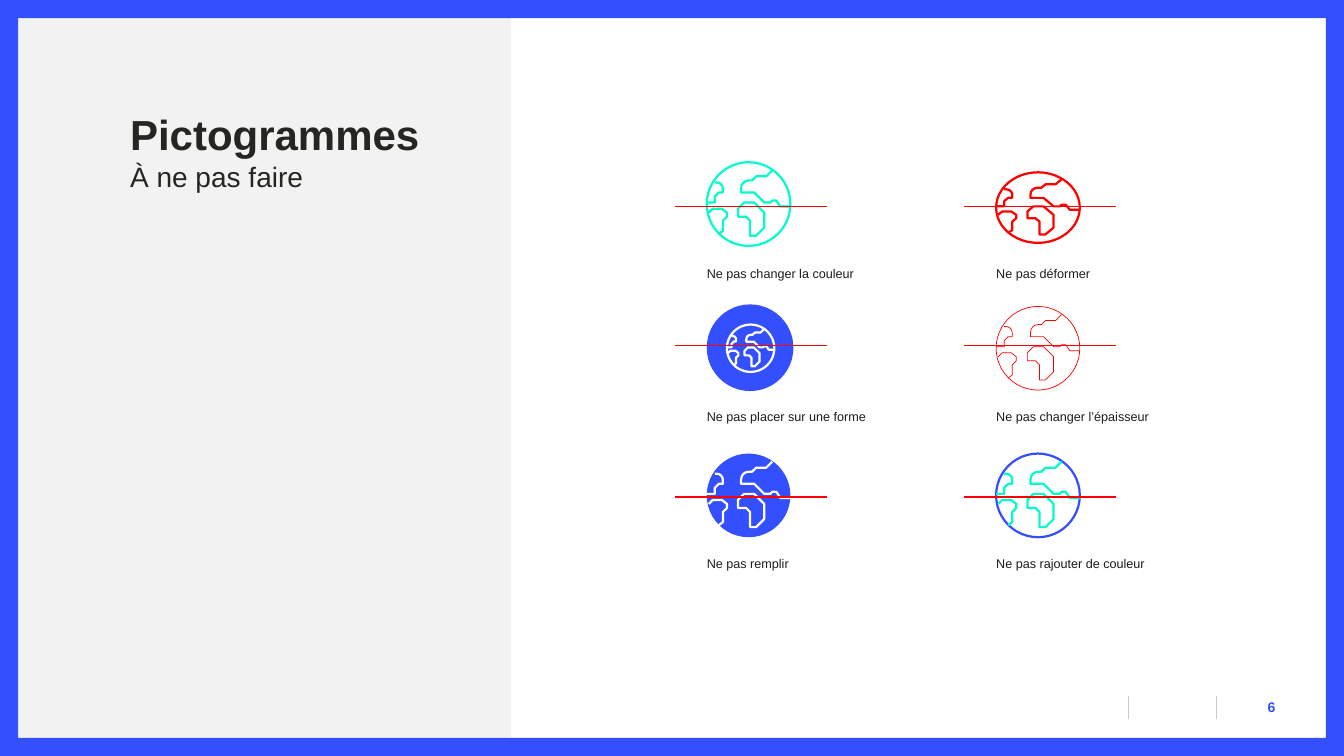
from lxml.etree import SubElement
from pptx import Presentation
from pptx.dml.color import RGBColor
from pptx.enum.shapes import MSO_CONNECTOR, MSO_SHAPE
from pptx.enum.text import MSO_ANCHOR, MSO_AUTO_SIZE, PP_ALIGN
from pptx.oxml.ns import qn
from pptx.util import Inches, Pt

FONT = "Arial"
BLUE, MINT, RED, WHITE = "334FFE", "06FACC", "FF0000", "FFFFFF"
PANEL, RULE, TITLE_INK, INK = "F1F2F1", "CCCCCC", "252521", "1F1C1E"
WIDTH, HEIGHT = 13.33, 7.5
BORDER = 0.18
GLOBE = 0.83
THICK, THIN = 1.59, 0.5

TITLE_LINES = [("Pictogrammes", 30, True), ("À ne pas faire", 20, False)]

# Left edges of the two columns; globe, strike and caption heights of the three rows
COLUMNS = [7.01, 9.88]
ROWS = [(1.61, 2.05, 2.59), (3.04, 3.43, 4.01), (4.5, 4.93, 5.47)]

# One entry per grid cell, row by row. "box" is the globe's offset in the cell and its size.
FULL = (0, 0, GLOBE, GLOBE)
EXAMPLES = [
    {"caption": "Ne pas changer la couleur", "ring": MINT, "coast": MINT},
    {"caption": "Ne pas déformer", "ring": RED, "coast": RED, "box": (0, 0.1, GLOBE, 0.7)},
    {"caption": "Ne pas placer sur une forme", "ring": WHITE, "coast": WHITE,
     "box": (0.2, 0.18, 0.47, 0.47), "disc": BLUE},
    {"caption": "Ne pas changer l’épaisseur", "ring": RED, "coast": RED, "weight": THIN},
    {"caption": "Ne pas remplir", "fill": BLUE, "coast": WHITE},
    {"caption": "Ne pas rajouter de couleur", "ring": BLUE, "coast": MINT},
]

# Coastlines in hundredths of an inch on a full-size globe
COASTS = [
    [(8, 20), (10, 20), (12.4, 20.5), (14.2, 21.8), (15.5, 23.6), (16, 26),
     (16, 30), (12, 30), (8, 34), (8, 40), (0, 40)],
    [(12, 71), (16, 68), (16, 58), (20, 54), (20, 50), (15, 46), (6, 46), (2, 50)],
    [(83, 44), (73, 44), (69, 38), (65, 38), (63, 40), (57, 40), (47, 30), (34, 30),
     (34, 26), (34.6, 22.9), (36.2, 20.3), (38.8, 18.6), (42, 18), (45, 18),
     (49, 14), (59, 14), (65, 8)],
    [(49, 73), (43, 73), (43, 58), (39, 54), (31, 54), (31, 46), (37, 40), (47, 40),
     (57, 50), (57, 65), (49, 73)],
]


def color(hex_text):
    return RGBColor.from_string(hex_text)


def paint(shape, fill=None, line=None, weight=THICK):
    shape.shadow.inherit = False
    if fill:
        shape.fill.solid()
        shape.fill.fore_color.rgb = color(fill)
    else:
        shape.fill.background()
    if line:
        shape.line.color.rgb = color(line)
        shape.line.width = Pt(weight)
    else:
        shape.line.fill.background()


def add_preset(shapes, kind, box, **style):
    shape = shapes.add_shape(kind, *map(Inches, box))
    paint(shape, **style)
    return shape


def add_line(shapes, start, end, line, weight):
    connector = shapes.add_connector(MSO_CONNECTOR.STRAIGHT, *map(Inches, start + end))
    connector.line.color.rgb = color(line)
    connector.line.width = Pt(weight)
    SubElement(connector._element.spPr, qn("a:effectLst"))


def add_run(paragraph, text, size, ink, bold=False):
    run = paragraph.add_run()
    run.text = text
    run.font.name, run.font.size, run.font.bold = FONT, Pt(size), bold
    run.font.color.rgb = color(ink)


def set_frame(frame, margins, anchor=MSO_ANCHOR.TOP):
    frame.word_wrap = True
    frame.auto_size = MSO_AUTO_SIZE.NONE
    frame.vertical_anchor = anchor
    (frame.margin_left, frame.margin_top,
     frame.margin_right, frame.margin_bottom) = map(Inches, margins)


def add_text(shapes, box, text, size, ink, margins, anchor=MSO_ANCHOR.TOP,
             align=PP_ALIGN.LEFT, bold=False):
    frame = shapes.add_textbox(*map(Inches, box)).text_frame
    set_frame(frame, margins, anchor)
    frame.paragraphs[0].alignment = align
    add_run(frame.paragraphs[0], text, size, ink, bold)


def add_globe(shapes, box, coast, ring=None, fill=None, weight=THICK):
    left, top, width, height = box
    add_preset(shapes, MSO_SHAPE.OVAL, box, fill=fill, line=ring, weight=weight)
    for coastline in COASTS:
        points = [(Inches(left + x / 100 * width / GLOBE),
                   Inches(top + y / 100 * height / GLOBE)) for x, y in coastline]
        builder = shapes.build_freeform(*points[0])
        builder.add_line_segments(points[1:], close=points[0] == points[-1])
        paint(builder.convert_to_shape(), line=coast, weight=weight)


def add_example(shapes, index, example):
    row, column = divmod(index, len(COLUMNS))
    left = COLUMNS[column]
    globe_top, strike_top, caption_top = ROWS[row]
    if "disc" in example:
        add_preset(shapes, MSO_SHAPE.OVAL, (left, globe_top - 0.02, 0.86, 0.86),
                   fill=example["disc"])
    dx, dy, width, height = example.get("box", FULL)
    add_globe(shapes, (left + dx, globe_top + dy, width, height), example["coast"],
              example.get("ring"), example.get("fill"), example.get("weight", THICK))
    add_text(shapes, (left, caption_top, 2.22, 0.25), example["caption"], 9, INK,
             (0, 0.05, 0.1, 0.05))
    strike_left = left - 0.32
    add_line(shapes, (strike_left, strike_top), (strike_left + 1.51, strike_top), RED, 1)


def add_title(slide):
    title = slide.shapes.title
    title.left, title.top, title.width, title.height = map(Inches, (1.29, 1.08, 10.68, 1.13))
    frame = title.text_frame
    set_frame(frame, (0, 0, 0, 0))
    for index, (text, size, bold) in enumerate(TITLE_LINES):
        paragraph = frame.add_paragraph() if index else frame.paragraphs[0]
        paragraph.alignment = PP_ALIGN.LEFT
        add_run(paragraph, text, size, TITLE_INK, bold)
    slide.shapes._spTree.append(title._element)  # bring in front of the panel


def main():
    presentation = Presentation()
    presentation.slide_width, presentation.slide_height = Inches(WIDTH), Inches(HEIGHT)
    slide = presentation.slides.add_slide(presentation.slide_layouts[5])
    shapes = slide.shapes

    add_preset(shapes, MSO_SHAPE.RECTANGLE, (0, 0, 5.07, HEIGHT), fill=PANEL)
    for x in (11.19, 12.06):
        add_line(shapes, (x, 6.9), (x, 7.13), RULE, 0.5)
    border = add_preset(shapes, MSO_SHAPE.FRAME, (0, 0, WIDTH, HEIGHT), fill=BLUE)
    border.adjustments[0] = BORDER / HEIGHT
    add_title(slide)
    add_text(shapes, (12.07, 6.82, 0.58, 0.38), "6", 10, BLUE, (0, 0, 0, 0),
             MSO_ANCHOR.MIDDLE, PP_ALIGN.RIGHT, bold=True)
    for index, example in enumerate(EXAMPLES):
        add_example(shapes, index, example)

    presentation.save("out.pptx")


if __name__ == "__main__":
    main()
